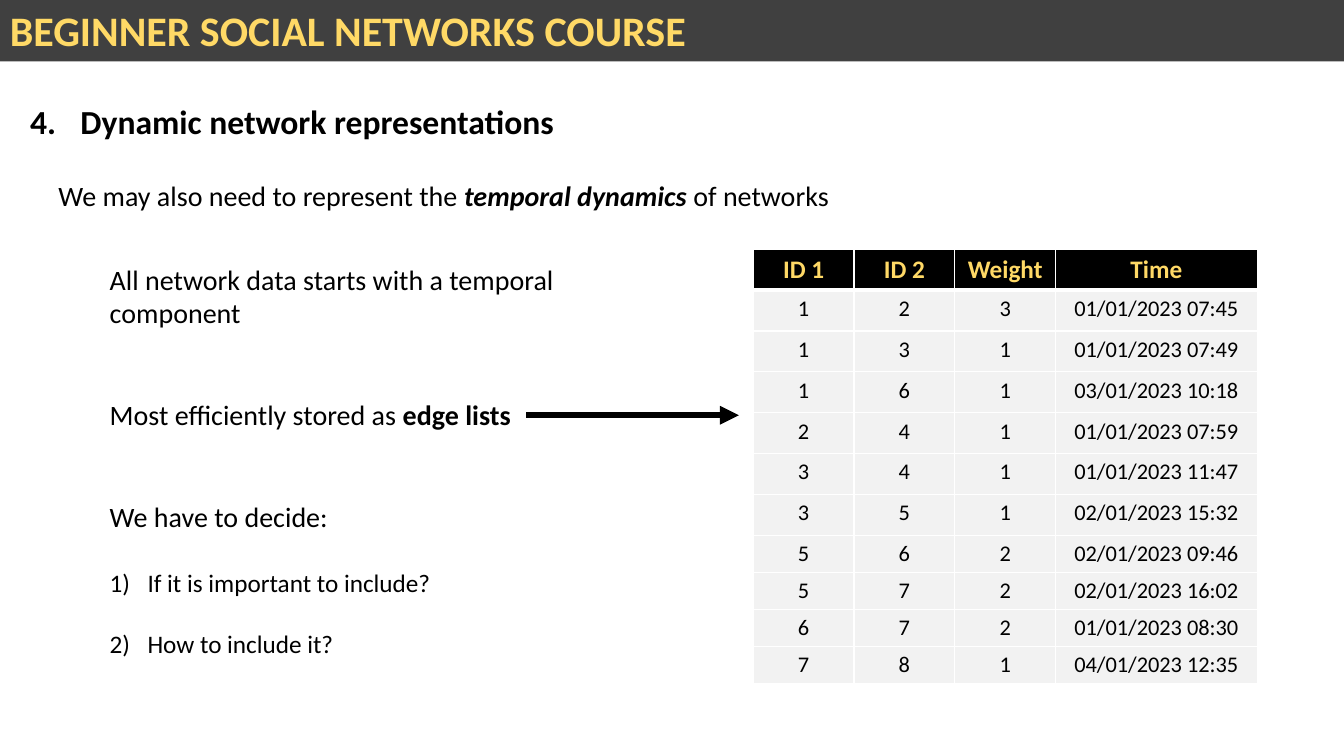
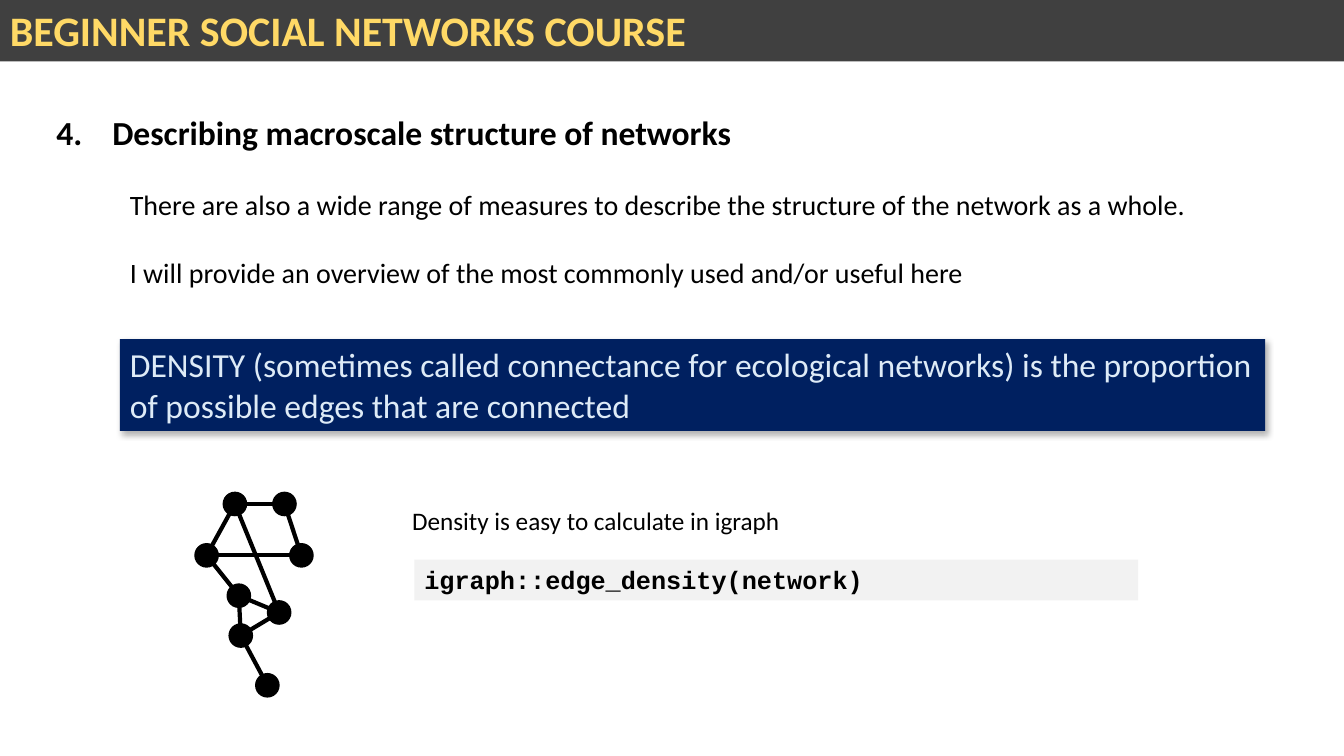
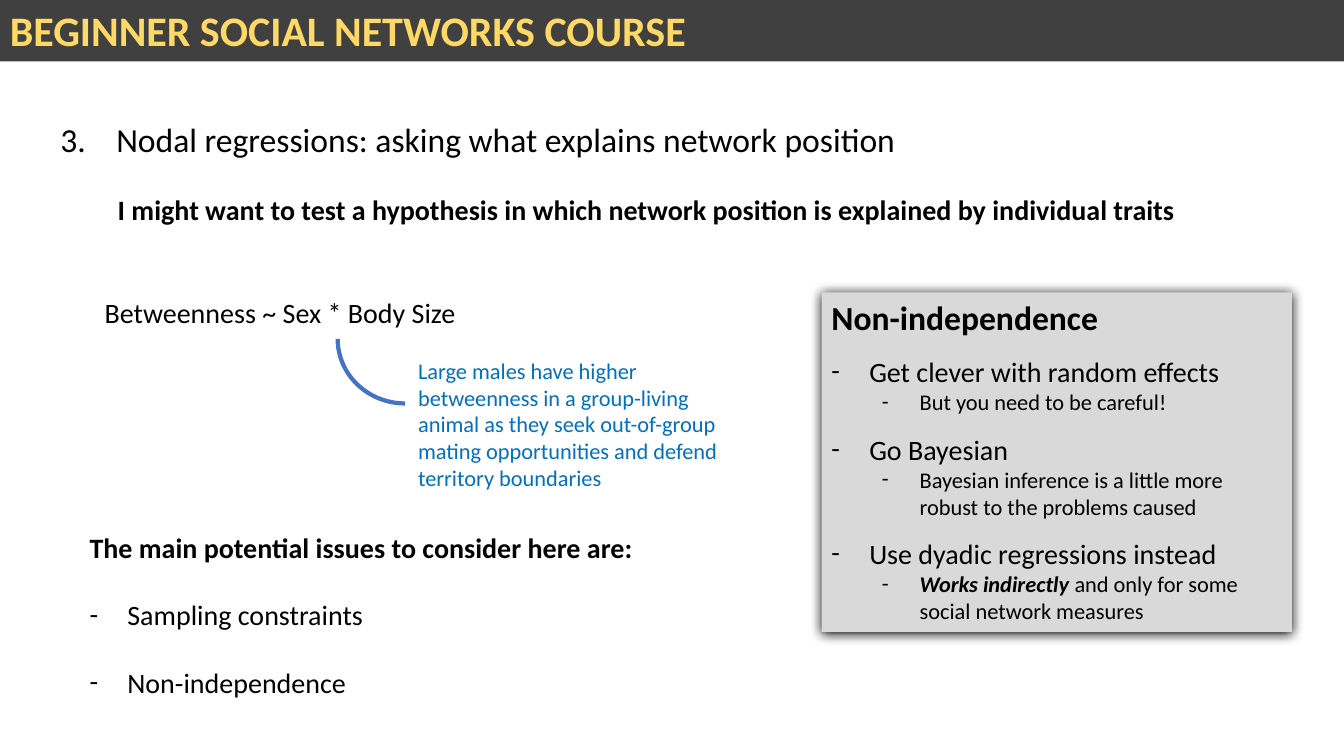
import dataclasses
import typing

import lxml.etree
import pptx
import pptx.dml.color
import pptx.enum.shapes
import pptx.enum.text
import pptx.oxml.ns
import pptx.shapes.autoshape
import pptx.shapes.base
import pptx.slide
import pptx.util

Pt = pptx.util.Pt
qn = pptx.oxml.ns.qn
ShapeKind = pptx.enum.shapes.MSO_SHAPE


@dataclasses.dataclass(frozen=True)
class Theme:
    font: str = "Calibri"
    code_font: str = "Courier New"
    black: str = "000000"
    white: str = "FFFFFF"
    band: str = "404040"
    gold: str = "FFD966"
    navy: str = "002060"
    pale_blue: str = "DEEBF7"
    note_blue: str = "0070C0"
    arc_blue: str = "4472C4"
    light_grey: str = "F2F2F2"
    panel_grey: str = "D9D9D9"
    course: int = 30
    heading: int = 24
    body: int = 20
    small: int = 18
    detail: int = 16


THEME = Theme()


class Box(typing.NamedTuple):
    left: float
    top: float
    width: float
    height: float


class Run(typing.NamedTuple):
    text: str
    bold: bool = False
    italic: bool = False


class Bullet(typing.NamedTuple):
    kind: str
    indent: float
    hanging: float
    start: int = 1


class Shadow(typing.NamedTuple):
    opacity: int
    blur: float
    distance: float
    angle: int


@dataclasses.dataclass(frozen=True)
class Para:
    runs: tuple[Run, ...]
    size: int = THEME.body
    colour: str = THEME.black
    font: str = THEME.font
    before: float = 0
    bullet: Bullet | None = None


DASH = Bullet("-", 27, 27)
SUB_DASH = Bullet("-", 63, 27)
NUMBER = Bullet("arabicParenR", 27, 27)


def plain(text: str, size: int = THEME.body, bold: bool = False, **format_values) -> Para:
    """A paragraph of a single run."""
    return Para((Run(text, bold),), size, **format_values)


def rgb(colour: str) -> pptx.dml.color.RGBColor:
    return pptx.dml.color.RGBColor.from_string(colour)


def add_bullet(paragraph, bullet: Bullet) -> None:
    properties = paragraph._p.get_or_add_pPr()
    properties.set("marL", str(Pt(bullet.indent)))
    properties.set("indent", str(-Pt(bullet.hanging)))
    lxml.etree.SubElement(properties, qn("a:buFont"), typeface=THEME.font)
    if bullet.kind == "-":
        lxml.etree.SubElement(properties, qn("a:buChar"), char=bullet.kind)
    else:
        lxml.etree.SubElement(
            properties, qn("a:buAutoNum"), type=bullet.kind, startAt=str(bullet.start))


def write(frame, paras: typing.Sequence[Para],
          align=pptx.enum.text.PP_ALIGN.LEFT) -> None:
    frame.word_wrap = True
    frame.vertical_anchor = pptx.enum.text.MSO_ANCHOR.TOP
    for index, para in enumerate(paras):
        paragraph = frame.add_paragraph() if index else frame.paragraphs[0]
        paragraph.alignment = align
        if para.before:
            paragraph.space_before = Pt(para.before)
        if para.bullet:
            add_bullet(paragraph, para.bullet)
        for part in para.runs:
            run = paragraph.add_run()
            run.text = part.text
            format_values = {"name": para.font, "size": Pt(para.size),
                             "bold": part.bold, "italic": part.italic}
            for name, value in format_values.items():
                setattr(run.font, name, value)
            run.font.color.rgb = rgb(para.colour)


def add_text(slide: pptx.slide.Slide, box: Box, *paras: Para) -> None:
    write(slide.shapes.add_textbox(*map(Pt, box)).text_frame, paras)


def add_shape(slide: pptx.slide.Slide, kind: ShapeKind, box: Box,
              fill: str | None) -> pptx.shapes.autoshape.Shape:
    """A shape without line or shadow."""
    shape = slide.shapes.add_shape(kind, *map(Pt, box))
    shape.shadow.inherit = False
    shape.line.fill.background()
    if fill:
        shape.fill.solid()
        shape.fill.fore_color.rgb = rgb(fill)
    else:
        shape.fill.background()
    return shape


def add_panel(slide: pptx.slide.Slide, box: Box, fill: str, *paras: Para,
              shadow: Shadow | None = None) -> None:
    """A filled rectangle that holds text."""
    shape = add_shape(slide, ShapeKind.RECTANGLE, box, fill)
    write(shape.text_frame, paras)
    if shadow:
        effects = shape._element.spPr.find(qn("a:effectLst"))
        outer = lxml.etree.SubElement(
            effects, qn("a:outerShdw"), blurRad=str(Pt(shadow.blur)),
            dist=str(Pt(shadow.distance)), dir=str(shadow.angle * 60000),
            algn="ctr", rotWithShape="0")
        colour = lxml.etree.SubElement(outer, qn("a:srgbClr"), val=THEME.black)
        lxml.etree.SubElement(colour, qn("a:alpha"), val=str(shadow.opacity * 1000))


def add_line(slide: pptx.slide.Slide, start: tuple[float, float],
             end: tuple[float, float], width: float, arrow: bool = False) -> None:
    connector = slide.shapes.add_connector(
        pptx.enum.shapes.MSO_CONNECTOR.STRAIGHT, *map(Pt, start + end))
    connector.line.color.rgb = rgb(THEME.black)
    connector.line.width = Pt(width)
    if arrow:
        lxml.etree.SubElement(
            connector.line._get_or_add_ln(), qn("a:tailEnd"), type="triangle")
    lxml.etree.SubElement(connector._element.spPr, qn("a:effectLst"))


def add_heading(slide: pptx.slide.Slide, box: Box, number: int, text: str,
                hanging: float = 40, bold: bool = True) -> None:
    bullet = Bullet("arabicPeriod", hanging, hanging, number)
    add_text(slide, box, plain(text, THEME.heading, bold, bullet=bullet))


def add_course_slide(presentation) -> pptx.slide.Slide:
    """A blank slide with the course band."""
    slide = presentation.slides.add_slide(presentation.slide_layouts[6])
    add_panel(slide, Box(0, 0, 960, 43.8), THEME.band,
              plain("BEGINNER SOCIAL NETWORKS COURSE", THEME.course, True,
                    colour=THEME.gold))
    return slide


def fill_cell(cell, para: Para, fill: str, bottom_width: float) -> None:
    properties = cell._tc.get_or_add_tcPr()
    for side, width in {"L": 1, "R": 1, "T": 1, "B": bottom_width}.items():
        border = lxml.etree.SubElement(properties, qn(f"a:ln{side}"), w=str(Pt(width)))
        solid = lxml.etree.SubElement(border, qn("a:solidFill"))
        lxml.etree.SubElement(solid, qn("a:srgbClr"), val=THEME.white)
    cell.fill.solid()
    cell.fill.fore_color.rgb = rgb(fill)
    write(cell.text_frame, [para], pptx.enum.text.PP_ALIGN.CENTER)


EDGE_LIST = (
    ("ID 1", "ID 2", "Weight", "Time"),
    ("1", "2", "3", "01/01/2023 07:45"),
    ("1", "3", "1", "01/01/2023 07:49"),
    ("1", "6", "1", "03/01/2023 10:18"),
    ("2", "4", "1", "01/01/2023 07:59"),
    ("3", "4", "1", "01/01/2023 11:47"),
    ("3", "5", "1", "02/01/2023 15:32"),
    ("5", "6", "2", "02/01/2023 09:46"),
    ("5", "7", "2", "02/01/2023 16:02"),
    ("6", "7", "2", "01/01/2023 08:30"),
    ("7", "8", "1", "04/01/2023 12:35"),
)


def add_edge_list(slide: pptx.slide.Slide, box: Box) -> None:
    table = slide.shapes.add_table(
        len(EDGE_LIST), len(EDGE_LIST[0]), *map(Pt, box)).table
    for column, width in zip(table.columns, (72, 72, 72, 144)):
        column.width = Pt(width)
    for row_index, values in enumerate(EDGE_LIST):
        table.rows[row_index].height = Pt(29.2 if row_index < 7 else 26.5)
        for column_index, value in enumerate(values):
            cell = table.cell(row_index, column_index)
            if row_index == 0:
                para = plain(value, THEME.small, True, colour=THEME.gold)
                fill_cell(cell, para, THEME.black, 3)
            else:
                fill_cell(cell, plain(value, THEME.detail), THEME.light_grey, 1)


NODES = {
    "A": (147.6, 396.7), "B": (215.3, 396.7), "C": (170.6, 425.5), "D": (199.4, 437.5),
    "E": (172, 454), "F": (191, 489.5), "G": (167.8, 360), "H": (203.2, 360),
}
EDGES = ("AB", "AG", "GH", "HB", "AC", "CE", "CD", "ED", "EF", "GD")
NODE_SIZE = 16.6


def add_network(slide: pptx.slide.Slide) -> None:
    for start, end in EDGES:
        add_line(slide, NODES[start], NODES[end], 3)
    for x, y in NODES.values():
        box = Box(x - NODE_SIZE / 2, y - NODE_SIZE / 2, NODE_SIZE, NODE_SIZE)
        node = add_shape(slide, ShapeKind.OVAL, box, THEME.black)
        node.line.color.rgb = rgb(THEME.black)
        node.line.width = Pt(1)


def build_dynamic_networks(presentation) -> None:
    slide = add_course_slide(presentation)
    add_heading(slide, Box(14.4, 68.4, 920, 36), 4, "Dynamic network representations", 36)
    add_text(slide, Box(34.6, 123.8, 901, 31.5), Para((
        Run("We may also need to represent the "),
        Run("temporal dynamics ", True, True),
        Run("of networks"))))
    add_edge_list(slide, Box(538, 178, 360, 310))
    add_text(
        slide, Box(71.3, 183.6, 408, 298),
        plain("All network data starts with a temporal component"),
        Para((Run("Most efficiently stored as "), Run("edge lists", True)), before=48.8),
        plain("We have to decide:", before=48.8),
        plain("If it is important to include?", THEME.small, before=24.4, bullet=NUMBER),
        plain("How to include it?", THEME.small, before=22, bullet=NUMBER))
    add_line(slide, (375.8, 296.6), (527.8, 296.6), 4.5, arrow=True)


def build_macroscale(presentation) -> None:
    slide = add_course_slide(presentation)
    add_heading(slide, Box(33.1, 76.3, 561, 36), 4,
                "Describing macroscale structure of networks")
    add_text(
        slide, Box(85.7, 130.3, 797, 80),
        plain("There are also a wide range of measures to describe the structure "
              "of the network as a whole."),
        plain("I will provide an overview of the most commonly used and/or useful here",
              before=24.4))
    add_panel(
        slide, Box(85.7, 242.3, 818, 65.5), THEME.navy,
        plain("DENSITY (sometimes called connectance for ecological networks) is the "
              "proportion of possible edges that are connected",
              THEME.heading, colour=THEME.pale_blue),
        shadow=Shadow(30, 4.5, 2.6, 53))
    add_network(slide)
    add_text(slide, Box(287.3, 357.1, 586, 29),
             plain("Density is easy to calculate in igraph", THEME.small))
    add_panel(slide, Box(296, 399.8, 517, 29), THEME.light_grey,
              plain("igraph::edge_density(network)", THEME.small, True,
                    font=THEME.code_font))


def build_nodal_regressions(presentation) -> None:
    slide = add_course_slide(presentation)
    add_heading(slide, Box(36, 81.4, 788, 36), 3,
                "Nodal regressions: asking what explains network position", bold=False)
    add_text(slide, Box(77, 133.9, 873, 31.5),
             plain("I might want to test a hypothesis in which network position is "
                   "explained by individual traits", bold=True))
    add_text(slide, Box(67.7, 207.6, 873, 31.5), plain("Betweenness ~ Sex * Body Size"))
    arc = add_shape(slide, ShapeKind.ARC, Box(241.2, 196, 96.5, 92.2), None)
    arc.adjustments[0], arc.adjustments[1] = 54, 108
    arc.line.color.rgb = rgb(THEME.arc_blue)
    arc.line.width = Pt(3)
    add_text(slide, Box(291.6, 251.3, 238, 104),
             plain("Large males have higher betweenness in a group-living animal as they "
                   "seek out-of-group mating opportunities and defend territory boundaries",
                   THEME.detail, colour=THEME.note_blue))
    add_text(
        slide, Box(56.9, 375.1, 873, 128),
        plain("The main potential issues to consider here are:", bold=True),
        *(plain(issue, before=24.4, bullet=DASH)
          for issue in ("Sampling constraints", "Non-independence")))

    remedies = (
        ("Get clever with random effects", (Run("But you need to be careful!"),)),
        ("Go Bayesian",
         (Run("Bayesian inference is a little more robust to the problems caused"),)),
        ("Use dyadic regressions instead",
         (Run("Works indirectly ", True, True),
          Run("and only for some social network measures"))),
    )
    paras = [plain("Non-independence", THEME.heading, True)]
    for remedy, detail in remedies:
        paras.append(plain(remedy, before=12.2, bullet=DASH))
        paras.append(Para(detail, THEME.detail, bullet=SUB_DASH))
    add_panel(slide, Box(586.8, 208.8, 336, 242.6), THEME.panel_grey, *paras,
              shadow=Shadow(100, 8.5, 1, 90))


def main() -> None:
    presentation = pptx.Presentation()
    presentation.slide_width, presentation.slide_height = Pt(960), Pt(540)
    for build in (build_dynamic_networks, build_macroscale, build_nodal_regressions):
        build(presentation)
    presentation.save("out.pptx")


if __name__ == "__main__":
    main()
